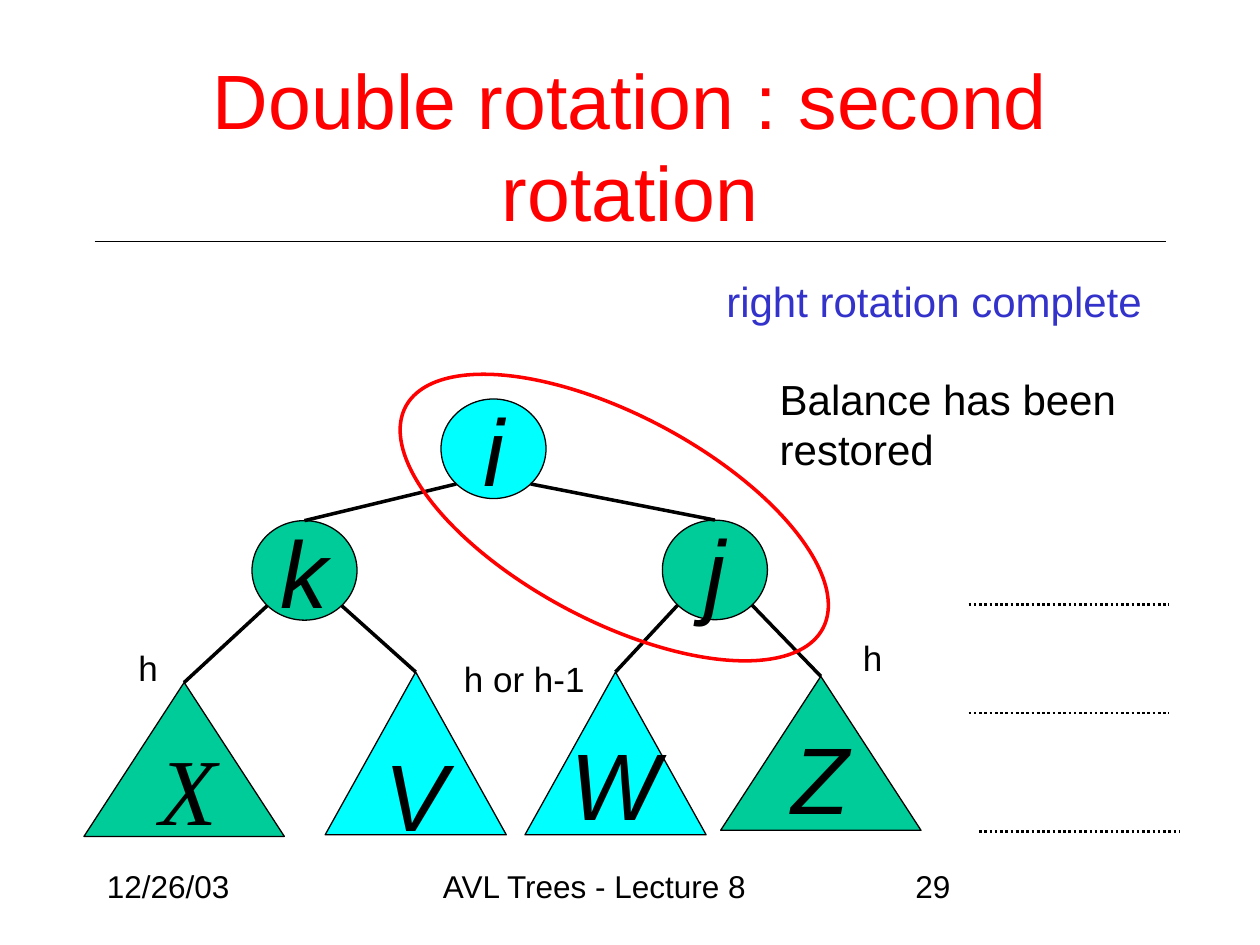
from pptx import Presentation
from pptx.dml.color import RGBColor
from pptx.enum.dml import MSO_LINE_DASH_STYLE as DASH
from pptx.enum.shapes import MSO_CONNECTOR, MSO_SHAPE
from pptx.enum.text import MSO_ANCHOR as ANCHOR, PP_ALIGN as ALIGN
from pptx.oxml.ns import qn
from pptx.util import Pt
from lxml import etree

BLACK, RED, BLUE = "000000", "FF0000", "3333CC"
GREEN, CYAN = "00CC99", "00FFFF"
DIAGONAL = 0.7071  # where an edge leaves a round node


def rgb(value):
    return RGBColor.from_string(value)


def write(s, text, size, color=BLACK, align=ALIGN.LEFT, anchor=ANCHOR.TOP,
          wrap=True, italic=False, font="Arial"):
    tf = s.text_frame
    tf.text = text
    tf.word_wrap = wrap
    tf.vertical_anchor = anchor
    for p in tf.paragraphs:
        p.alignment = align
        for r in p.runs:
            r.font.name, r.font.size, r.font.italic = font, Pt(size), italic
            r.font.color.rgb = rgb(color)


def add_text(slide, box, text, size, **style):
    s = slide.shapes.add_textbox(*map(Pt, box))
    write(s, text, size, **style)


def add_shape(slide, kind, box, fill=None, line=BLACK, width=0.75):
    s = slide.shapes.add_shape(kind, *map(Pt, box))
    s.shadow.inherit = False
    if fill:
        s.fill.solid()
        s.fill.fore_color.rgb = rgb(fill)
    else:
        s.fill.background()
    s.line.color.rgb = rgb(line)
    s.line.width = Pt(width)
    return s


def add_line(slide, x1, y1, x2, y2, width, dash=None):
    s = slide.shapes.add_connector(MSO_CONNECTOR.STRAIGHT, *map(Pt, (x1, y1, x2, y2)))
    s.line.color.rgb = rgb(BLACK)
    s.line.width = Pt(width)
    if dash:
        s.line.dash_style = dash
    etree.SubElement(s._element.spPr, qn("a:effectLst"))
    return s


def add_letter(s, text):
    write(s, text, 54, align=ALIGN.CENTER, anchor=ANCHOR.MIDDLE, wrap=False, italic=True)


def add_node(slide, x, y, text, fill):
    s = add_shape(slide, MSO_SHAPE.OVAL, (x, y, 60, 56.9), fill)
    add_letter(s, text)
    return s


def add_subtree(slide, box, fill):
    return add_shape(slide, MSO_SHAPE.ISOSCELES_TRIANGLE, box, fill)


def add_edge(slide, parent, child, side):
    """Join a parent's lower left (-1) or lower right (1) to the child's top."""
    x = parent.left + parent.width / 2 * (1 + side * DIAGONAL)
    y = parent.top + parent.height / 2 * (1 + DIAGONAL)
    s = add_line(slide, x / Pt(1), y / Pt(1), 0, 0, 2)
    s.end_connect(child, 0)


def main():
    prs = Presentation()
    prs.slide_width, prs.slide_height = Pt(720), Pt(540)
    slide = prs.slides.add_slide(prs.slide_layouts[6])

    # Title, rule and footer
    add_text(slide, (52.5, 51, 615.5, 63.5), "Double rotation : second rotation", 44,
             color=RED, align=ALIGN.CENTER, anchor=ANCHOR.MIDDLE)
    add_line(slide, 54, 138, 666, 138, 0.75)
    for x, w, text in ((54, 150, "12/26/03"), (246, 228, "AVL Trees - Lecture 8"),
                       (516, 150, "29")):
        add_text(slide, (x, 492, w, 36), text, 18)

    # Nodes and subtrees
    i = add_node(slide, 252, 228, "i", CYAN)
    k = add_node(slide, 144, 297.5, "k", GREEN)
    j = add_node(slide, 378.5, 297.2, "j", GREEN)
    tree_x = add_subtree(slide, (48, 390, 114.5, 88), GREEN)
    tree_v = add_subtree(slide, (185.8, 384, 103.5, 93), CYAN)
    tree_w = add_subtree(slide, (300, 384, 103.5, 93), CYAN)
    tree_z = add_subtree(slide, (411.8, 386.5, 114.5, 88), GREEN)
    add_letter(tree_v, "V")
    for x, y, text, font in ((84, 414, "X", "Times New Roman"),
                             (319, 411, "W", "Arial"), (445, 408, "Z", "Arial")):
        add_text(slide, (x, y, 36.7, 72), text, 54, anchor=ANCHOR.BOTTOM,
                 italic=True, font=font)

    # Edges
    for parent, left, right in ((i, k, j), (k, tree_x, tree_v), (j, tree_w, tree_z)):
        add_edge(slide, parent, left, -1)
        add_edge(slide, parent, right, 1)

    # Level marks
    for x, y in ((553.5, 345.5), (553.5, 407.5), (559.5, 475)):
        add_line(slide, x, y, x + 114.5, y, 1.5, DASH.ROUND_DOT)

    # Rotated pair
    ring = add_shape(slide, MSO_SHAPE.OVAL, (216, 237, 270, 117.5), line=RED, width=2)
    ring.rotation = 28

    # Remarks and height labels
    add_text(slide, (408, 154, 252, 36), "right rotation complete", 24,
             color=BLUE, wrap=False)
    add_text(slide, (438.5, 209.5, 213, 65), "Balance has been\nrestored", 24,
             anchor=ANCHOR.MIDDLE, wrap=False)
    for x, y, w, text in ((486, 360, 26, "h"), (72, 366, 25, "h"),
                          (258, 372, 83.5, "h or h-1")):
        add_text(slide, (x, y, w, 31.5), text, 20, wrap=False)

    prs.save("out.pptx")


if __name__ == "__main__":
    main()
